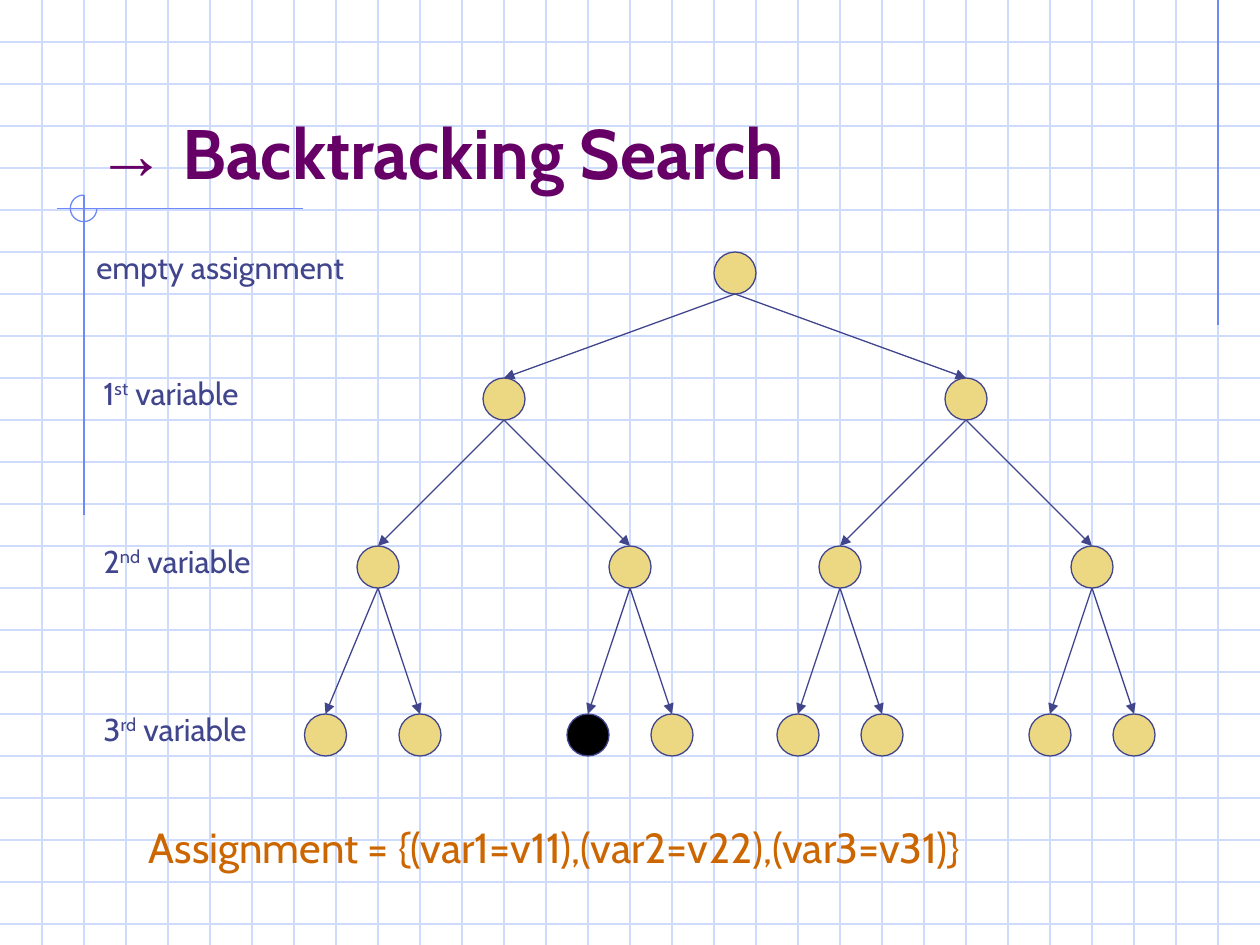
"""Builds the backtracking search slide: a search tree on squared paper."""
from dataclasses import dataclass

from lxml import etree
from pptx import Presentation, util as u
from pptx.dml import color
from pptx.enum import shapes, text
from pptx.oxml import ns

Pt = u.Pt


@dataclass(frozen=True)
class Theme:
    font: str = "Cabin"
    arrow_font: str = "Arial"
    grid: str = "CFDBFD"
    accent: str = "6F89F7"
    title: str = "660066"
    ink: str = "40458C"
    node: str = "ECD882"
    current: str = "000000"
    result: str = "CC6600"
    title_size: int = 40
    result_size: int = 24
    label_size: int = 18
    line: float = 0.75


THEME = Theme()
WIDTH, HEIGHT, STEP = 720, 540, 24
LEVELS = [
    (144, [420]),
    (216, [288, 552]),
    (312, [216, 360, 480, 624]),
    (408, [186, 240, 336, 384, 456, 504, 600, 648]),
]
CURRENT = (3, 2)
LABELS = [
    (48, 138, 171.5, ["empty assignment"]),
    (52, 210, 105, ["1", "st", " variable"]),
    (52, 306, 109.5, ["2", "nd", " variable"]),
    (52, 402, 107.5, ["3", "rd", " variable"]),
]


def rgb(value):
    return color.RGBColor.from_string(value)


def style_line(line, colour):
    line.color.rgb = rgb(colour)
    line.width = Pt(THEME.line)


def add_line(s, start, end, colour, arrow=False):
    c = s.shapes.add_connector(
        shapes.MSO_CONNECTOR.STRAIGHT, *(Pt(v) for v in (*start, *end)))
    style_line(c.line, colour)
    if arrow:
        etree.SubElement(c.line._get_or_add_ln(), ns.qn("a:tailEnd"), type="triangle")
    etree.SubElement(c._element.spPr, ns.qn("a:effectLst"))


def add_round(s, kind, left, top, size, line, fill=None):
    sp = s.shapes.add_shape(kind, Pt(left), Pt(top), Pt(size), Pt(size))
    sp.shadow.inherit = False
    style_line(sp.line, line)
    if fill:
        sp.fill.solid()
        sp.fill.fore_color.rgb = rgb(fill)
    else:
        sp.fill.background()
    return sp


def add_text(s, left, top, width, height, parts, size, colour):
    """Adds one line of text whose second part, if any, is superscript."""
    sp = s.shapes.add_textbox(Pt(left), Pt(top), Pt(width), Pt(height))
    tf = sp.text_frame
    tf.word_wrap = False
    tf.auto_size = text.MSO_AUTO_SIZE.SHAPE_TO_FIT_TEXT
    p = tf.paragraphs[0]
    p.font.name, p.font.size = THEME.font, Pt(size)
    p.font.color.rgb = rgb(colour)
    for i, part in enumerate(parts):
        r = p.add_run()
        r.text = part
        if i == 1:
            r._r.get_or_add_rPr().set("baseline", "30000")


def add_paper(s):
    for y in range(STEP, HEIGHT, STEP):
        add_line(s, (0, y), (WIDTH, y), THEME.grid)
    for x in range(STEP, WIDTH, STEP):
        add_line(s, (x, 0), (x, HEIGHT), THEME.grid)
    add_line(s, (696, 0), (696, 186), THEME.accent)
    add_line(s, (32.5, 119.2), (173, 119.2), THEME.accent)
    add_line(s, (48, 111.5), (48, 294.5), THEME.accent)
    arc = add_round(s, shapes.MSO_SHAPE.ARC, 40.2, 111.5, 15.2, THEME.accent)
    arc.adjustments[0], arc.adjustments[1] = 0, 162


def add_title(s):
    sp = s.shapes.title
    s.shapes._spTree.append(sp._element)
    sp.left, sp.top, sp.width, sp.height = Pt(48), Pt(24), Pt(612), Pt(90)
    tf = sp.text_frame
    tf.auto_size = text.MSO_AUTO_SIZE.NONE
    tf.vertical_anchor = text.MSO_ANCHOR.BOTTOM
    p = tf.paragraphs[0]
    p.alignment = text.PP_ALIGN.LEFT
    p.font.size, p.font.bold = Pt(THEME.title_size), True
    p.font.color.rgb = rgb(THEME.title)
    for words, font in (("→", THEME.arrow_font), (" Backtracking Search", THEME.font)):
        r = p.add_run()
        r.text = words
        r.font.name = font


def add_tree(s):
    """Draws the nodes level by level, each joined to its parent."""
    for depth, (top, centres) in enumerate(LEVELS):
        for i, x in enumerate(centres):
            fill = THEME.current if (depth, i) == CURRENT else THEME.node
            add_round(s, shapes.MSO_SHAPE.OVAL, x - STEP / 2, top, STEP, THEME.ink, fill)
            if depth:
                parent_top, parents = LEVELS[depth - 1]
                add_line(s, (parents[i // 2], parent_top + STEP), (x, top),
                         THEME.ink, arrow=True)


def main():
    prs = Presentation()
    prs.slide_width, prs.slide_height = Pt(WIDTH), Pt(HEIGHT)
    s = prs.slides.add_slide(prs.slide_layouts[5])
    add_paper(s)
    add_title(s)
    add_tree(s)
    for left, top, width, parts in LABELS:
        add_text(s, left, top, width, 29, parts, THEME.label_size, THEME.ink)
    add_text(s, 78, 466, 556.5, 36, ["Assignment = {(var1=v11),(var2=v22),(var3=v31)}"],
             THEME.result_size, THEME.result)
    prs.save("out.pptx")


if __name__ == "__main__":
    main()
